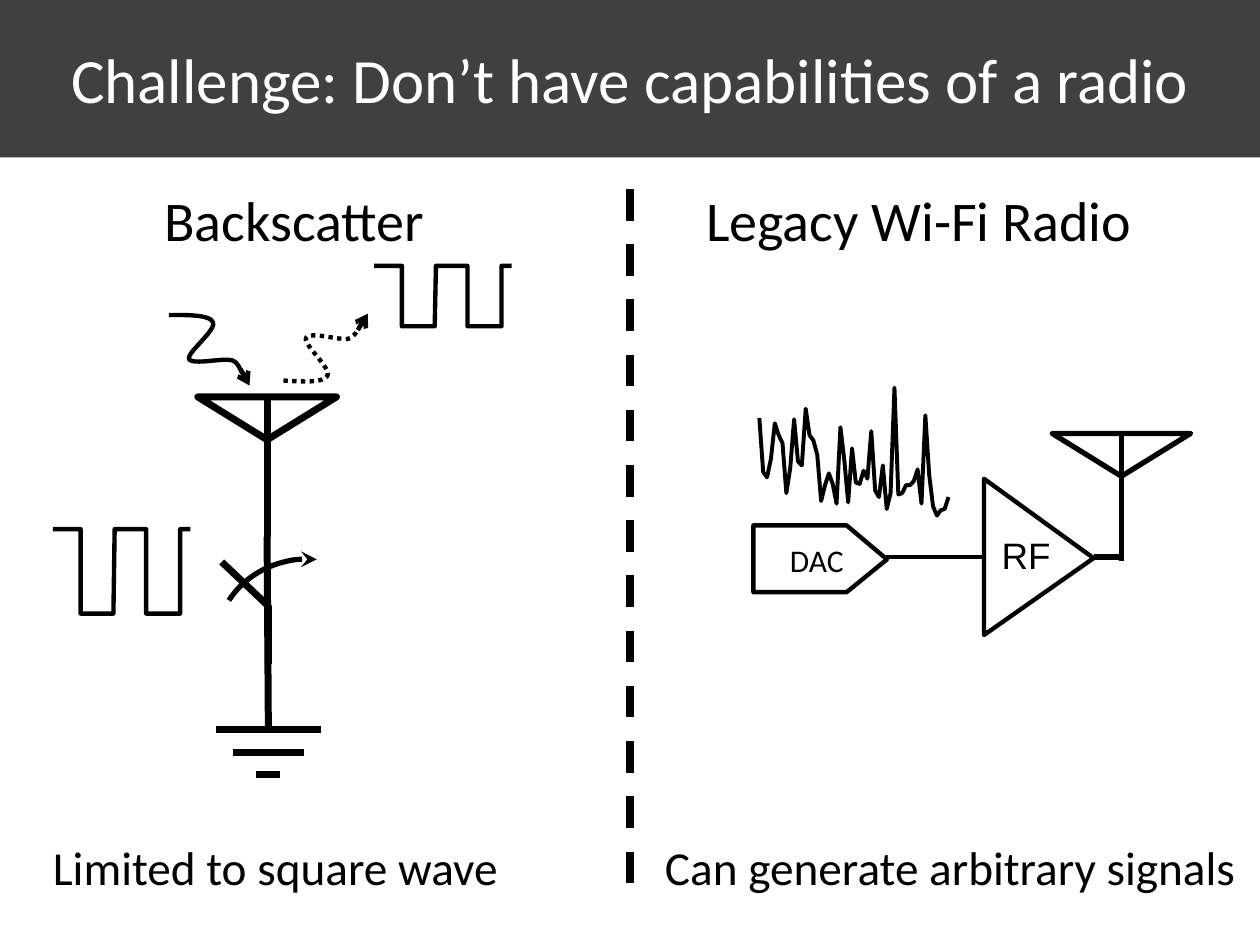
import pptx
import pptx.chart.data
import pptx.dml.color
import pptx.enum.chart
import pptx.enum.dml
import pptx.enum.shapes
import pptx.enum.text
import pptx.oxml
import pptx.oxml.ns
import pptx.util

Inches, Pt = pptx.util.Inches, pptx.util.Pt
RGB = pptx.dml.color.RGBColor.from_string
SHAPE = pptx.enum.shapes.MSO_SHAPE
DASH = pptx.enum.dml.MSO_LINE
ALIGN = pptx.enum.text.PP_ALIGN
MIDDLE = pptx.enum.text.MSO_ANCHOR.MIDDLE

THEME = {
    "ink": RGB("000000"), "paper": RGB("FFFFFF"), "band": RGB("404040"),
    "title": 36, "heading": 32, "caption": 27, "rf": 21, "dac": 18,
    "body font": "Calibri", "symbol font": "Arial",
    "heavy": 4, "medium": 3, "thin": 2.5,
}
WIDTH, HEIGHT = 10, 7.5
BAND_HEIGHT = HEIGHT / 6

TITLE = "Challenge: Don’t have capabilities of a radio"
# text, box (left, top, width, height), size, font, alignment
LABELS = [
    ("Backscatter", (1.14, 1.42, 2.39, 0.64), "heading", "body font", ALIGN.CENTER),
    ("Legacy Wi-Fi Radio", (5.17, 1.42, 4.25, 0.64), "heading", "body font", ALIGN.CENTER),
    ("Limited to square wave", (0.31, 6.59, 3.75, 0.58), "caption", "body font", ALIGN.CENTER),
    ("Can generate arbitrary signals", (5.17, 6.59, 4.74, 0.58), "caption", "body font", ALIGN.CENTER),
    ("RF", (7.95, 4.18, 0.49, 0.45), "rf", "symbol font", ALIGN.LEFT),
    ("DAC", (6.27, 4.24, 0.53, 0.4), "dac", "body font", ALIGN.LEFT),
]

ANTENNAS = [  # mast x, top, foot, weight
    (2.12, 3.15, 4.26, "heavy"),
    (8.9, 3.44, 4.45, "medium"),
]
ANTENNA_WIDTH, ANTENNA_HEIGHT = 1.1, 0.34

GROUND_X, GROUND_TOP, GROUND_STEP = 2.13, 5.79, 0.18
GROUND_BARS = [0.83, 0.56, 0.19]
SWITCH_BLADE = [(2.13, 5.27), (2.13, 4.81), (1.76, 4.46)]
# angles in degrees, clockwise from the right, before the rotation
SWITCH_ARC = {"box": (1.77, 4.38, 1.41, 1.53), "rotation": 283.4, "angles": (286.6, 349.84)}

SQUARE_WAVES = [(0.42, 4.2, 0.67), (2.97, 2.11, 0.48)]  # left, top, height
WAVE_STEPS = [  # offset from left, 0 high or 1 low
    (0, 0), (0.22, 0), (0.22, 1), (0.48, 1), (0.49, 0),
    (0.74, 0), (0.74, 1), (1.01, 1), (1.01, 0), (1.09, 0),
]

SIGNALS = [  # Bezier knots and handles, arrow from and to, dash
    {"curve": [(1.34, 2.5), (1.51, 2.5), (1.67, 2.5), (1.69, 2.56),
               (1.72, 2.62), (1.48, 2.8), (1.5, 2.85),
               (1.53, 2.9), (1.76, 2.84), (1.84, 2.86),
               (1.91, 2.88), (1.91, 2.99), (1.95, 2.97)],
     "arrow": ((1.91, 2.93), (1.98, 3.06)), "dash": None},
    {"curve": [(2.25, 3.02), (2.41, 3.03), (2.57, 3.04), (2.6, 2.98),
               (2.63, 2.92), (2.4, 2.73), (2.43, 2.68),
               (2.46, 2.63), (2.69, 2.7), (2.76, 2.69),
               (2.84, 2.67), (2.85, 2.56), (2.88, 2.58)],
     "arrow": ((2.84, 2.62), (2.92, 2.49)), "dash": DASH.ROUND_DOT},
]

AMPLIFIER = [(7.81, 3.8), (7.81, 5.04), (8.68, 4.43)]
CONVERTER = [(6.72, 4.17), (5.98, 4.17), (5.98, 4.7), (6.72, 4.7), (7.04, 4.44)]
RADIO_WIRES = [((7.03, 4.42), (7.81, 4.42), "thin"), ((8.68, 4.42), (8.91, 4.42), "medium")]

NOISE_BOX = (5.98, 2.97, 1.58, 1.19)
NOISE_PLOT = {"x": 0.02, "y": 0.09, "w": 0.97, "h": 0.88}  # shares of the chart
NOISE = [77, 36, 32, 46, 73, 64, 58, 20, 39, 76, 44, 41, 84, 64, 60, 49, 14,
         26, 35, 27, 12, 70, 45, 13, 54, 28, 27, 37, 31, 67, 22, 17, 41, 8,
         20, 100, 19, 20, 26, 26, 29, 38, 12, 79, 34, 10, 3, 7, 8, 17]


def inches(values):
    return [Inches(value) for value in values]


def ink_line(line, weight, dash=None, arrow=None):
    line.color.rgb = THEME["ink"]
    line.width = Pt(weight)
    if dash is not None:
        line.dash_style = dash
    if arrow:
        stroke = line._get_or_add_ln()
        stroke.append(stroke.makeelement(pptx.oxml.ns.qn("a:tailEnd"), {"type": arrow}))


def add_wire(shapes, start, end, weight, **style):
    wire = shapes.add_connector(pptx.enum.shapes.MSO_CONNECTOR.STRAIGHT, *inches(start + end))
    ink_line(wire.line, weight, **style)
    properties = wire._element.spPr
    properties.append(properties.makeelement(pptx.oxml.ns.qn("a:effectLst"), {}))


def ink_outline(shape, weight, **style):
    shape.shadow.inherit = False
    shape.fill.background()
    ink_line(shape.line, weight, **style)


def add_outline(shapes, points, weight, close=False, **style):
    start, *rest = [inches(point) for point in points]
    builder = shapes.build_freeform(*start, scale=1.0)
    builder.add_line_segments(rest, close=close)
    ink_outline(builder.convert_to_shape(), weight, **style)


def bezier_points(curve, steps=12):
    """Sample a chain of cubic Bezier pieces that share their end knots."""
    points = [curve[0]]
    for first in range(0, len(curve) - 1, 3):
        piece = curve[first:first + 4]
        for step in range(1, steps + 1):
            t = step / steps
            weights = ((1 - t) ** 3, 3 * t * (1 - t) ** 2, 3 * t * t * (1 - t), t ** 3)
            points.append(tuple(sum(w * knot[axis] for w, knot in zip(weights, piece))
                                for axis in (0, 1)))
    return points


def set_text(shape, text, size, font, color, align):
    frame = shape.text_frame
    frame.text = text
    frame_format = {"word_wrap": True, "auto_size": pptx.enum.text.MSO_AUTO_SIZE.NONE,
                    "vertical_anchor": MIDDLE, "margin_left": 0, "margin_right": 0}
    for name, value in frame_format.items():
        setattr(frame, name, value)
    paragraph = frame.paragraphs[0]
    paragraph.alignment = align
    for name, value in {"size": Pt(THEME[size]), "name": THEME[font]}.items():
        setattr(paragraph.runs[0].font, name, value)
    paragraph.runs[0].font.color.rgb = THEME[color]


def add_title(slide):
    title = slide.shapes.title
    box = inches((0, 0, WIDTH, BAND_HEIGHT))
    for name, value in zip(("left", "top", "width", "height"), box):
        setattr(title, name, value)
    title.fill.solid()
    title.fill.fore_color.rgb = THEME["band"]
    set_text(title, TITLE, "title", "body font", "paper", ALIGN.CENTER)


def add_antenna(shapes, x, top, foot, weight):
    add_wire(shapes, (x, top), (x, foot), THEME[weight])
    dish = shapes.add_shape(SHAPE.ISOSCELES_TRIANGLE, *inches(
        (x - ANTENNA_WIDTH / 2, top, ANTENNA_WIDTH, ANTENNA_HEIGHT)))
    dish.rotation = 180
    ink_outline(dish, THEME[weight])


def add_backscatter(shapes):
    heavy, thin = THEME["heavy"], THEME["thin"]
    add_wire(shapes, (2.12, 4.26), (GROUND_X, GROUND_TOP), heavy)
    for row, width in enumerate(GROUND_BARS):
        y = GROUND_TOP + row * GROUND_STEP
        add_wire(shapes, (GROUND_X - width / 2, y), (GROUND_X + width / 2, y), heavy)
    add_outline(shapes, SWITCH_BLADE, heavy)
    swing = shapes.add_shape(SHAPE.ARC, *inches(SWITCH_ARC["box"]))
    swing.rotation = SWITCH_ARC["rotation"]
    for index, angle in enumerate(SWITCH_ARC["angles"]):
        swing.adjustments[index] = angle * 0.6  # 60000ths of a degree over 100000
    ink_outline(swing, THEME["medium"], arrow="stealth")
    for left, top, height in SQUARE_WAVES:
        add_outline(shapes, [(left + x, top + low * height) for x, low in WAVE_STEPS], thin)
    for signal in SIGNALS:
        add_outline(shapes, bezier_points(signal["curve"]), thin, dash=signal["dash"])
        add_wire(shapes, *signal["arrow"], thin, dash=signal["dash"], arrow="arrow")


def add_noise_chart(shapes):
    data = pptx.chart.data.CategoryChartData()
    data.categories = [str(number + 1) for number in range(len(NOISE))]
    data.add_series("Series 1", NOISE)
    chart = shapes.add_chart(pptx.enum.chart.XL_CHART_TYPE.LINE, *inches(NOISE_BOX), data).chart
    chart.has_legend = chart.has_title = False
    for name, value in {"size": Pt(10), "name": THEME["body font"]}.items():
        setattr(chart.font, name, value)
    chart.font.color.rgb = THEME["ink"]
    for axis in (chart.category_axis, chart.value_axis):
        axis.visible = axis.has_major_gridlines = False
    chart.value_axis.minimum_scale, chart.value_axis.maximum_scale = 0, 100
    plot = chart.plots[0]
    plot.vary_by_categories = False
    series = plot.series[0]
    series.smooth = False
    series.marker.style = pptx.enum.chart.XL_MARKER_STYLE.NONE
    ink_line(series.format.line, 2.25)
    area = chart._chartSpace.chart.plotArea
    for old in area.findall(pptx.oxml.ns.qn("c:layout")):
        area.remove(old)
    sides = "".join(f'<c:{side} val="{share}"/>' for side, share in NOISE_PLOT.items())
    area.insert(0, pptx.oxml.parse_xml(
        f'<c:layout {pptx.oxml.ns.nsdecls("c")}><c:manualLayout><c:layoutTarget val="inner"/>'
        f'<c:xMode val="edge"/><c:yMode val="edge"/>{sides}</c:manualLayout></c:layout>'))


def add_radio(shapes):
    add_noise_chart(shapes)
    for start, end, weight in RADIO_WIRES:
        add_wire(shapes, start, end, THEME[weight])
    for outline in (AMPLIFIER, CONVERTER):
        add_outline(shapes, outline, THEME["thin"], close=True)


def main():
    deck = pptx.Presentation()
    deck.slide_width, deck.slide_height = inches((WIDTH, HEIGHT))
    slide = deck.slides.add_slide(deck.slide_layouts[5])
    shapes = slide.shapes
    add_title(slide)
    for antenna in ANTENNAS:
        add_antenna(shapes, *antenna)
    add_backscatter(shapes)
    add_wire(shapes, (WIDTH / 2, 1.5), (WIDTH / 2, 7.17), 4.5, dash=DASH.DASH)
    add_radio(shapes)
    for text, box, size, font, align in LABELS:
        set_text(shapes.add_textbox(*inches(box)), text, size, font, "ink", align)
    deck.save("out.pptx")


if __name__ == "__main__":
    main()
